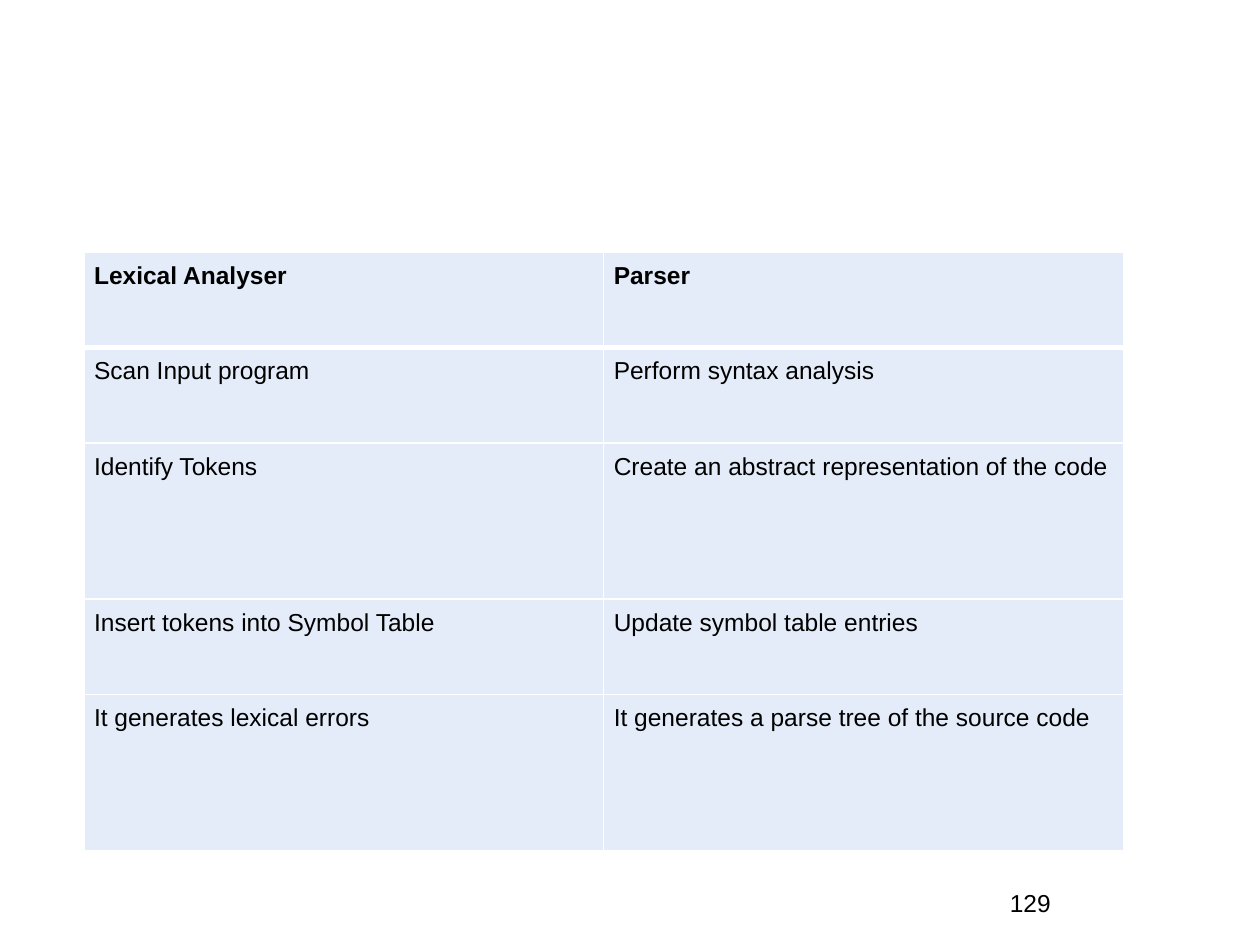
from dataclasses import dataclass

from lxml.etree import SubElement as Sub
from pptx import Presentation
from pptx.dml.color import RGBColor as RGB
from pptx.oxml.ns import qn
from pptx.util import Pt


@dataclass(frozen=True)
class Theme:
    font: str = "Arial"
    size: int = 14
    ink: str = "000000"
    fill: str = "E3ECF8"
    rule: str = "FFFFFF"


THEME = Theme()
ROWS = [
    ("Lexical Analyser", "Parser"),
    ("Scan Input program", "Perform syntax analysis"),
    ("Identify Tokens", "Create an abstract representation of the code"),
    ("Insert tokens into Symbol Table", "Update symbol table entries"),
    ("It generates lexical errors", "It generates a parse tree of the source code"),
]
SHORT, TALL = 54.6, 89.1
HEIGHTS = [SHORT, SHORT, TALL, SHORT, TALL]
WIDTH = 297
INSET = 5.76


def write(frame, text, bold=False):
    frame.text = text
    font = frame.paragraphs[0].runs[0].font
    font.name, font.size, font.bold = THEME.font, Pt(THEME.size), bold
    font.color.rgb = RGB.from_string(THEME.ink)


def rule(cell, base):
    """Draw the four cell borders; base is the width of the lower one."""
    props = cell._tc.get_or_add_tcPr()
    for spot, side in enumerate("LRTB"):
        width = base if side == "B" else 1
        line = Sub(props, qn(f"a:ln{side}"), w=str(Pt(width)))
        Sub(Sub(line, qn("a:solidFill")), qn("a:srgbClr"), val=THEME.rule)
        props.insert(spot, line)  # borders must come before the fill


def add_grid(slide, left, top):
    count = len(ROWS[0])
    table = slide.shapes.add_table(
        len(ROWS), count, Pt(left), Pt(top), Pt(WIDTH * count), Pt(sum(HEIGHTS))
    ).table
    for col in table.columns:
        col.width = Pt(WIDTH)
    for r, (texts, height) in enumerate(zip(ROWS, HEIGHTS)):
        table.rows[r].height = Pt(height)
        for c, text in enumerate(texts):
            cell = table.cell(r, c)
            cell.margin_left = cell.margin_right = Pt(INSET)
            cell.margin_top = cell.margin_bottom = Pt(INSET)
            cell.fill.solid()
            cell.fill.fore_color.rgb = RGB.from_string(THEME.fill)
            write(cell.text_frame, text, bold=r == 0)
            rule(cell, 3 if r == 0 else 1)


def add_label(slide, text, left, top, width, height):
    box = slide.shapes.add_textbox(Pt(left), Pt(top), Pt(width), Pt(height))
    box.text_frame.word_wrap = True
    write(box.text_frame, text)


def main():
    deck = Presentation()
    deck.slide_width, deck.slide_height = Pt(720), Pt(540)
    slide = deck.slides.add_slide(deck.slide_layouts[6])
    add_label(slide, "129", 570, 504, 150, 36)
    add_grid(slide, 48, 144)
    deck.save("out.pptx")


if __name__ == "__main__":
    main()
